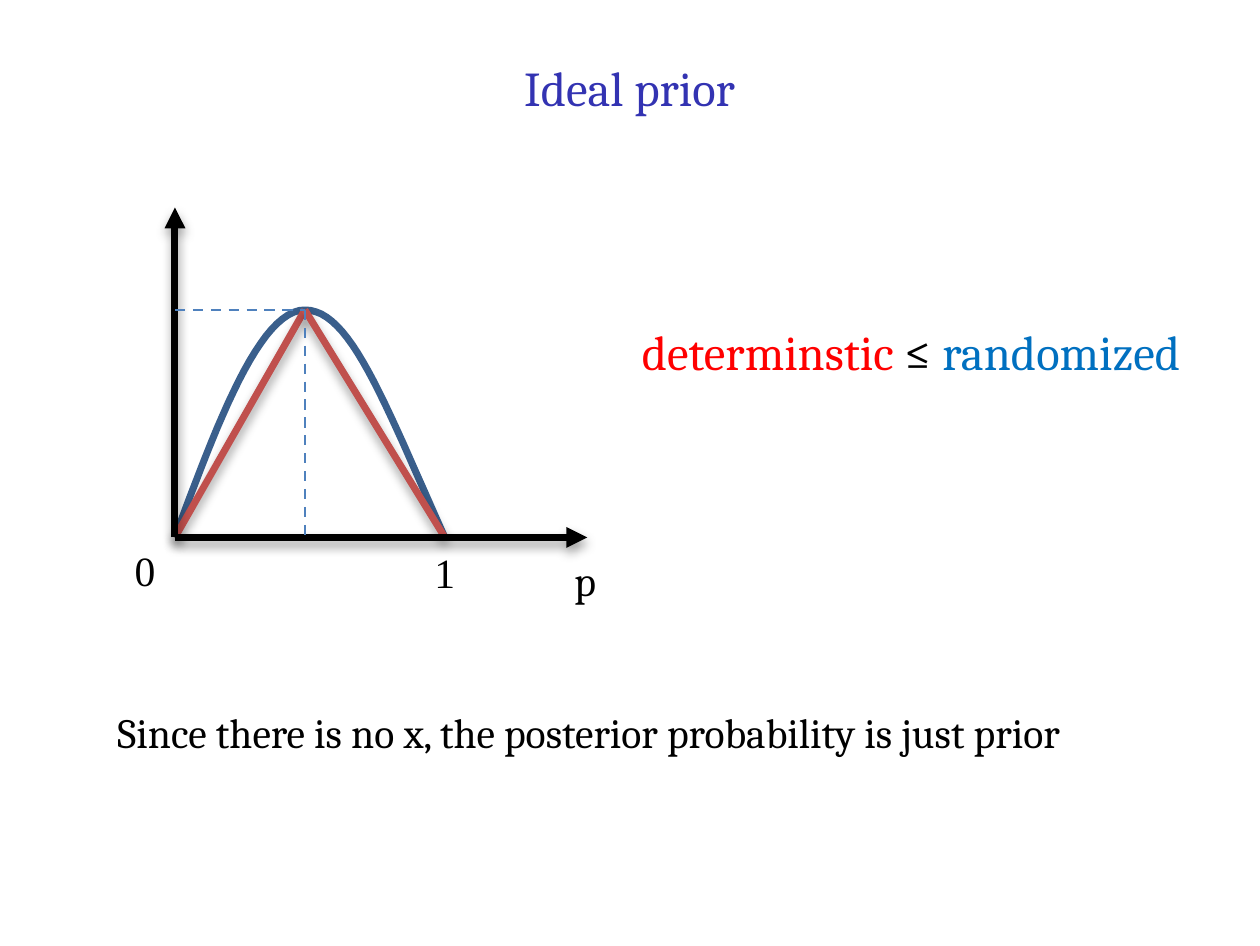
from lxml import etree
from pptx import Presentation
from pptx.dml.color import RGBColor
from pptx.enum.dml import MSO_LINE_DASH_STYLE as Dash
from pptx.enum.shapes import MSO_CONNECTOR as Connector
from pptx.enum.text import MSO_ANCHOR as Anchor, MSO_AUTO_SIZE as AutoSize, PP_ALIGN as Align
from pptx.oxml.ns import qn
from pptx.util import Inches, Pt

COLORS = {
    "title": "3333B2",
    "text": "000000",
    "axis": "000000",
    "shadow": "000000",
    "curve": "3A5F8C",
    "chord": "C0504D",
    "guide": "4F81BD",
    "deterministic": "FF0000",
    "randomized": "0070C0",
}
SERIF = "Cambria"
NUMERALS = "Times New Roman"

# Key points of the plot, in inches
ORIGIN = (0.7, 2.15)
PEAK = (1.22, 1.24)
ONE = (1.78, 2.15)
P_AXIS_END = (2.35, 2.15)
COST_AXIS_END = (0.7, 0.83)
CURVE_STEPS = 24


def rgb(name):
    return RGBColor.from_string(COLORS[name])


def add_runs(paragraph, runs, size, font=SERIF):
    for text, color in runs:
        run = paragraph.add_run()
        run.text = text
        run.font.size = Pt(size)
        run.font.name = font
        run.font.color.rgb = rgb(color)


def fill_placeholder(holder, box, text, color, size, align):
    holder.left, holder.top, holder.width, holder.height = map(Inches, box)
    frame = holder.text_frame
    frame.margin_left = frame.margin_top = frame.margin_right = frame.margin_bottom = 0
    frame.vertical_anchor = Anchor.TOP
    frame.auto_size = AutoSize.SHAPE_TO_FIT_TEXT
    paragraph = frame.paragraphs[0]
    properties = paragraph._p.get_or_add_pPr()
    properties.set("marL", "0")
    properties.set("indent", "0")
    etree.SubElement(properties, qn("a:buNone"))
    paragraph.alignment = align
    paragraph.space_before = Pt(0)
    add_runs(paragraph, [(text, color)], size)


def add_label(slide, box, runs, size=12, font=SERIF):
    frame = slide.shapes.add_textbox(*map(Inches, box)).text_frame
    frame.word_wrap = False
    frame.auto_size = AutoSize.SHAPE_TO_FIT_TEXT
    add_runs(frame.paragraphs[0], runs, size, font)


def add_line(slide, start, end, color, width=2, dashed=False, arrow=False, shadow=True):
    connector = slide.shapes.add_connector(Connector.STRAIGHT, *map(Inches, start + end))
    line = connector.line
    line.color.rgb = rgb(color)
    line.width = Pt(width)
    if dashed:
        line.dash_style = Dash.DASH
    if arrow:
        etree.SubElement(line._get_or_add_ln(), qn("a:tailEnd"), type="triangle")
    effects = etree.SubElement(connector._element.spPr, qn("a:effectLst"))
    if shadow:
        outer = etree.SubElement(effects, qn("a:outerShdw"), blurRad=str(Pt(3.1)),
                                 dist=str(Pt(1.6)), dir="5400000", rotWithShape="0")
        tint = etree.SubElement(outer, qn("a:srgbClr"), val=COLORS["shadow"])
        etree.SubElement(tint, qn("a:alpha"), val="38000")


def bezier(start, control_1, control_2, end):
    """Points along a cubic curve, without its start."""
    for step in range(1, CURVE_STEPS + 1):
        t = step / CURVE_STEPS
        u = 1 - t
        weights = (u ** 3, 3 * u * u * t, 3 * u * t * t, t ** 3)
        yield tuple(
            Inches(sum(w * value for w, value in zip(weights, axis)))
            for axis in zip(start, control_1, control_2, end)
        )


def add_curve(slide):
    rise = bezier(ORIGIN, (0.87, 1.69), (1.04, 1.24), PEAK)
    fall = bezier(PEAK, (1.4, 1.24), (1.53, 1.59), ONE)
    builder = slide.shapes.build_freeform(*map(Inches, ORIGIN))
    builder.add_line_segments([*rise, *fall], close=False)
    curve = builder.convert_to_shape()
    curve.shadow.inherit = False
    curve.fill.background()
    curve.line.color.rgb = rgb("curve")
    curve.line.width = Pt(2)


def main():
    deck = Presentation()
    # The page measures 363 by 272.5 points
    deck.slide_width, deck.slide_height = Inches(363 / 72), Inches(272.5 / 72)
    slide = deck.slides.add_slide(deck.slide_layouts[1])
    title, remark = slide.placeholders

    # Title and closing remark
    fill_placeholder(title, (0, 0.23, 5.04, 0.24), "Ideal prior", "title", 14, Align.CENTER)
    fill_placeholder(remark, (0.47, 2.83, 4.38, 0.2),
                     "Since there is no x, the posterior probability is just prior",
                     "text", 12, Align.LEFT)

    # Randomized curve and deterministic chords
    add_curve(slide)
    for foot in (ORIGIN, ONE):
        add_line(slide, PEAK, foot, "chord")

    # Axes
    for axis_end in (COST_AXIS_END, P_AXIS_END):
        add_line(slide, ORIGIN, axis_end, "axis", arrow=True)

    # Dashed guides to the peak
    for start, end in (((ORIGIN[0], PEAK[1]), PEAK), (PEAK, (PEAK[0], ORIGIN[1]))):
        add_line(slide, start, end, "guide", width=0.75, dashed=True, shadow=False)

    # Labels
    add_label(slide, (2.2, 2.17, 0.3, 0.3), [("p", "text")])
    add_label(slide, (2.47, 1.24, 2.56, 0.34),
              [("determinstic", "deterministic"), (" ≤ ", "text"), ("randomized", "randomized")],
              size=14)
    add_label(slide, (0.44, 2.13, 0.29, 0.3), [("0", "text")], font=NUMERALS)
    add_label(slide, (1.64, 2.14, 0.29, 0.3), [("1", "text")], font=NUMERALS)

    deck.save("out.pptx")


if __name__ == "__main__":
    main()
